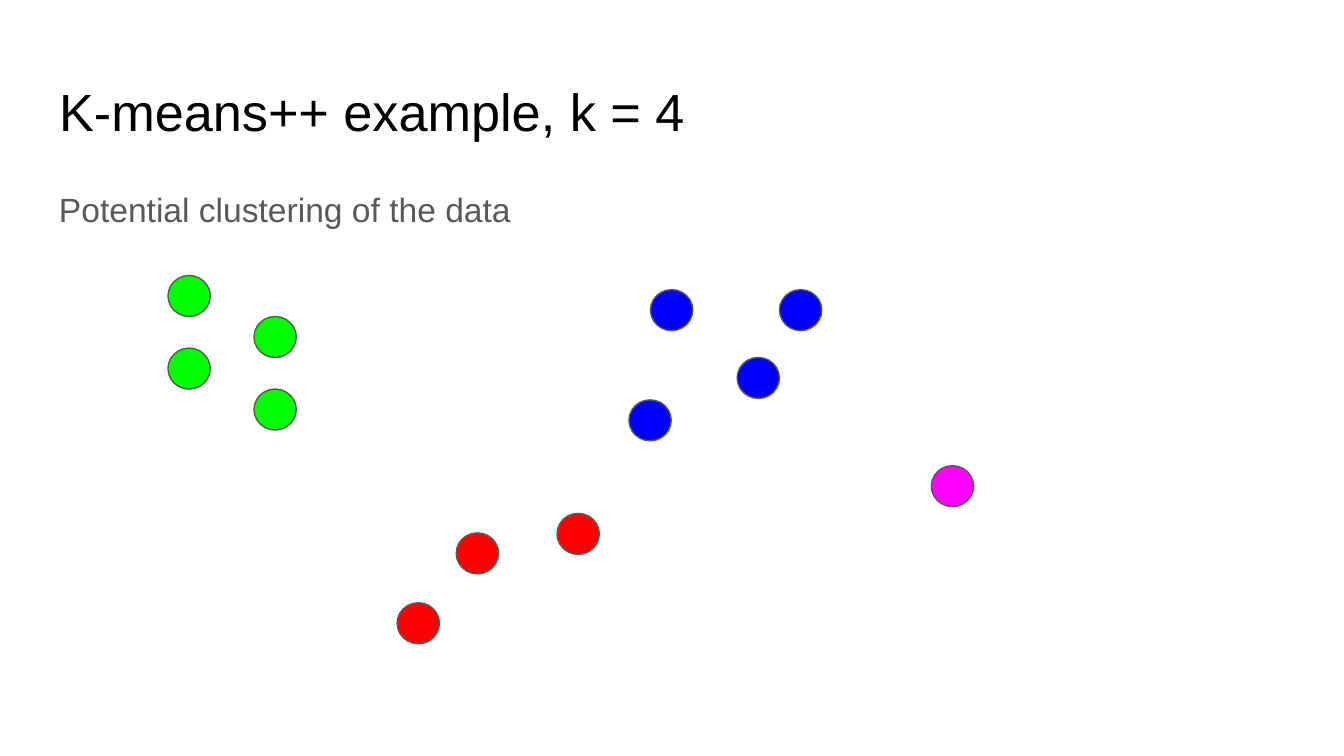
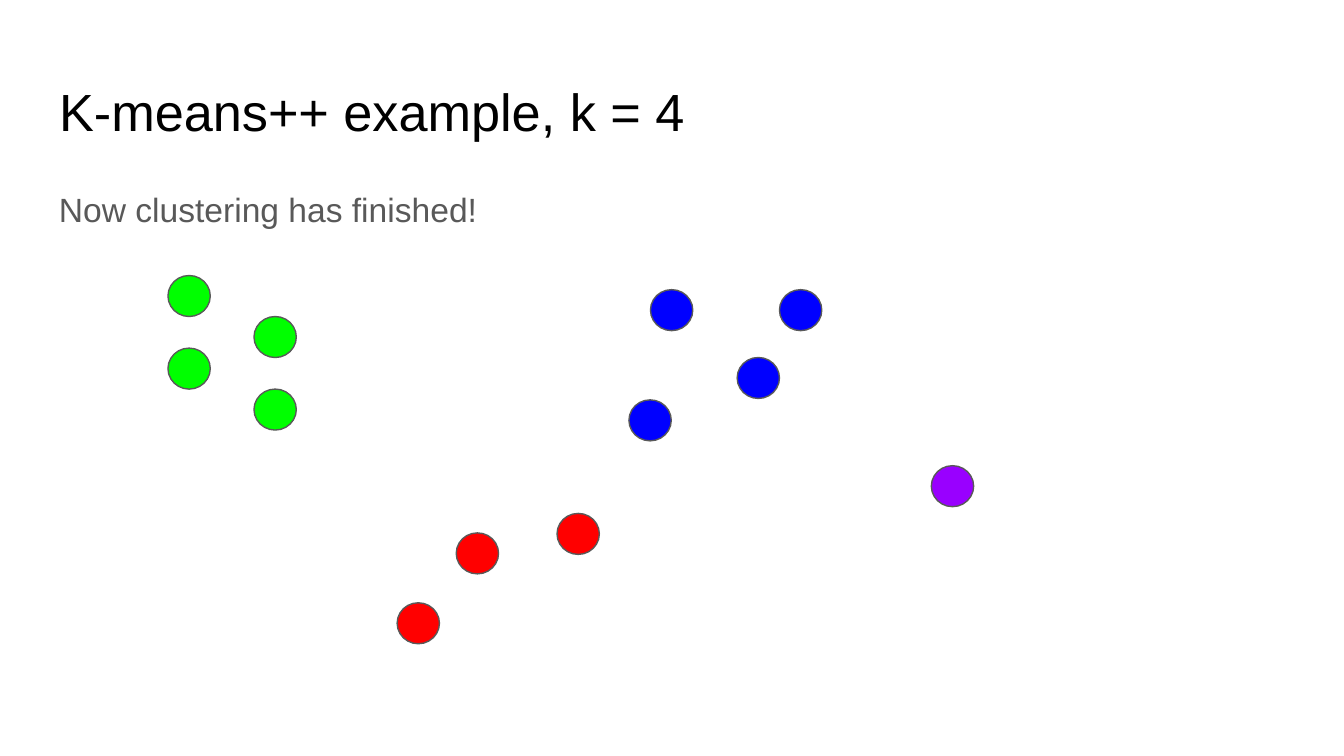
from dataclasses import dataclass
from typing import NamedTuple

from pptx import Presentation
from pptx.dml.color import RGBColor
from pptx.enum.shapes import MSO_SHAPE
from pptx.enum.text import MSO_ANCHOR, MSO_AUTO_SIZE, PP_ALIGN
from pptx.shapes.base import BaseShape
from pptx.slide import Slide
from pptx.util import Emu, Pt

ELLIPSE = MSO_SHAPE.OVAL
TOP = MSO_ANCHOR.TOP
NO_AUTOFIT = MSO_AUTO_SIZE.NONE
LEFT = PP_ALIGN.LEFT

PX = 4572
TITLE_ONLY = 5


@dataclass(frozen=True)
class Theme:
    font: str = "Arial"
    background: str = "FFFFFF"
    title_color: str = "000000"
    title_size: int = 28
    caption_color: str = "595959"
    caption_size: int = 18
    outline: str = "595959"
    outline_width: float = 0.75
    green: str = "00FF00"
    blue: str = "0000FF"
    red: str = "FF0000"
    magenta: str = "FF00FF"
    violet: str = "9900FF"


class Box(NamedTuple):
    left: int
    top: int
    width: int
    height: int


class Cluster(NamedTuple):
    color: str
    points: tuple[tuple[int, int], ...]


class Step(NamedTuple):
    caption: str
    outlier_color: str


THEME = Theme()
SLIDE_WIDTH, SLIDE_HEIGHT = 2000, 1125
TITLE_BOX = Box(68, 98, 1864, 126)
CAPTION_BOX = Box(68, 252, 1864, 748)
POINT_WIDTH, POINT_HEIGHT = 63, 61
INSET = 20

HEADING = "K-means++ example, k = 4"
STEPS = (
    Step("Potential clustering of the data", THEME.magenta),
    Step("Now clustering has finished!", THEME.violet),
)
CLUSTERS = (
    Cluster(THEME.green, ((250, 410), (250, 518), (378, 471), (378, 579))),
    Cluster(THEME.blue, ((968, 431), (936, 595), (1097, 532), (1160, 431))),
    Cluster(THEME.red, ((679, 793), (829, 764), (591, 897))),
)
OUTLIER = (1386, 693)

FRAME_FORMAT = {
    "word_wrap": True,
    "auto_size": NO_AUTOFIT,
    "vertical_anchor": TOP,
    "margin_left": Emu(INSET * PX),
    "margin_top": Emu(INSET * PX),
    "margin_right": Emu(INSET * PX),
    "margin_bottom": Emu(INSET * PX),
}
CAPTION_SPACING = {"line_spacing": 1.15, "space_after": Pt(16)}


def apply_format(target: object, values: dict) -> None:
    for attribute, value in values.items():
        setattr(target, attribute, value)


def in_emu(box: Box) -> list[Emu]:
    return [Emu(length * PX) for length in box]


def write_text(holder: BaseShape, text: str, size: int, color: str, spacing: dict) -> None:
    frame = holder.text_frame
    apply_format(frame, FRAME_FORMAT)
    frame.text = text
    line = frame.paragraphs[0]
    apply_format(line, {"alignment": LEFT, **spacing})
    apply_format(line.font, {"name": THEME.font, "size": Pt(size)})
    line.font.color.rgb = RGBColor.from_string(color)


def draw_heading(slide: Slide) -> None:
    heading = slide.shapes.title
    left, top, width, height = in_emu(TITLE_BOX)
    apply_format(heading, {"left": left, "top": top, "width": width, "height": height})
    write_text(heading, HEADING, THEME.title_size, THEME.title_color, {})


def draw_caption(slide: Slide, text: str) -> None:
    caption = slide.shapes.add_textbox(*in_emu(CAPTION_BOX))
    write_text(caption, text, THEME.caption_size, THEME.caption_color, CAPTION_SPACING)


def draw_cluster(slide: Slide, cluster: Cluster) -> None:
    for left, top in cluster.points:
        box = Box(left, top, POINT_WIDTH, POINT_HEIGHT)
        point = slide.shapes.add_shape(ELLIPSE, *in_emu(box))
        point.shadow.inherit = False
        point.fill.solid()
        point.fill.fore_color.rgb = RGBColor.from_string(cluster.color)
        point.line.color.rgb = RGBColor.from_string(THEME.outline)
        point.line.width = Pt(THEME.outline_width)


def build_step(deck: Presentation, step: Step) -> None:
    slide = deck.slides.add_slide(deck.slide_layouts[TITLE_ONLY])
    slide.background.fill.solid()
    slide.background.fill.fore_color.rgb = RGBColor.from_string(THEME.background)
    draw_heading(slide)
    draw_caption(slide, step.caption)
    for cluster in (*CLUSTERS, Cluster(step.outlier_color, (OUTLIER,))):
        draw_cluster(slide, cluster)


def main() -> None:
    deck = Presentation()
    deck.slide_width = Emu(SLIDE_WIDTH * PX)
    deck.slide_height = Emu(SLIDE_HEIGHT * PX)
    for step in STEPS:
        build_step(deck, step)
    deck.save("out.pptx")


if __name__ == "__main__":
    main()
